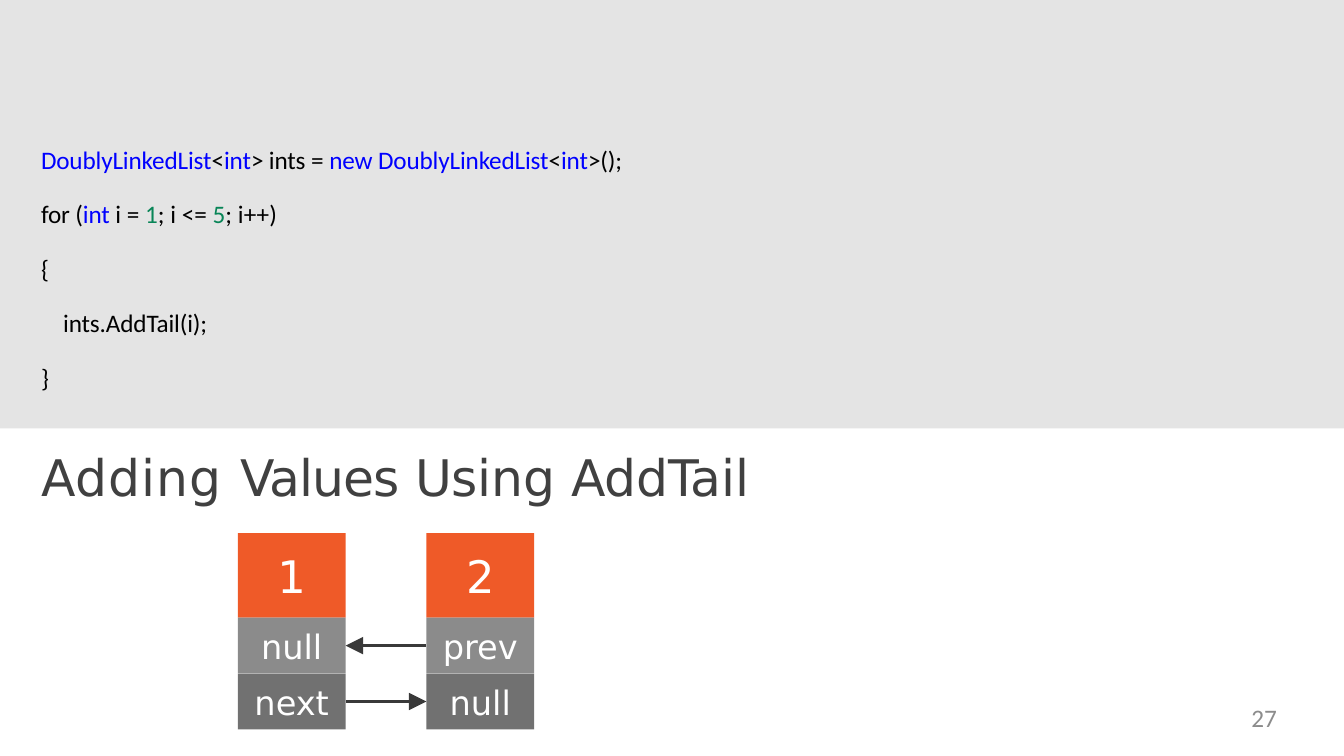
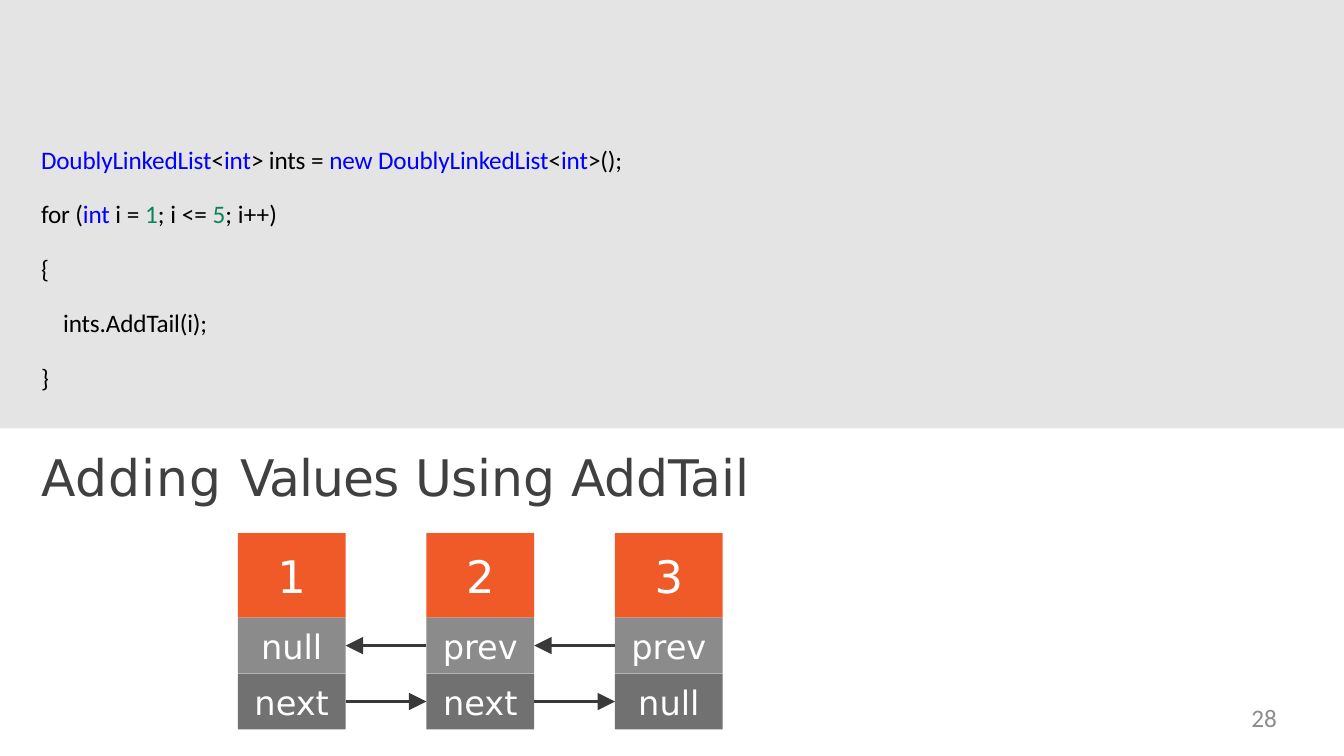
from typing import NamedTuple

from lxml import etree
from pptx import Presentation
from pptx.dml.color import RGBColor
from pptx.enum.shapes import MSO_CONNECTOR, MSO_SHAPE
from pptx.enum.text import MSO_ANCHOR, MSO_AUTO_SIZE, PP_ALIGN
from pptx.oxml.ns import qn
from pptx.util import Pt

RECT = MSO_SHAPE.RECTANGLE
LINE = MSO_CONNECTOR.STRAIGHT
TOP, MIDDLE = MSO_ANCHOR.TOP, MSO_ANCHOR.MIDDLE
LEFT, CENTER, RIGHT = PP_ALIGN.LEFT, PP_ALIGN.CENTER, PP_ALIGN.RIGHT
NO_FIT = MSO_AUTO_SIZE.NONE

BAND = RGBColor(0xE4, 0xE4, 0xE4)
BLACK = RGBColor(0x00, 0x00, 0x00)
BLUE = RGBColor(0x00, 0x00, 0xFF)
GREEN = RGBColor(0x08, 0x85, 0x57)
DARK = RGBColor(0x40, 0x40, 0x40)
WHITE = RGBColor(0xFF, 0xFF, 0xFF)
ORANGE = RGBColor(0xEF, 0x5A, 0x28)
GRAY = RGBColor(0x8B, 0x8B, 0x8B)
SLATE = RGBColor(0x71, 0x71, 0x71)
INK = RGBColor(0x39, 0x39, 0x39)
PALE = RGBColor(0x8C, 0x8C, 0x8C)

SANS, BODY = "DejaVu Sans", "Calibri"
WIDE, HIGH = 960, 540


class Box(NamedTuple):
    left: float
    top: float
    width: float
    height: float


class Span(NamedTuple):
    text: str
    color: RGBColor = BLACK
    space: float = -0.1


class Row(NamedTuple):
    top: float
    height: float
    fill: RGBColor
    size: float


class Page(NamedTuple):
    number: int
    count: int


TITLE_BOX = Box(29.3, 318.5, 512, 45)
CODE_BOX = Box(29.3, 103, 424, 181)
PAGE_BOX = Box(691.2, 501.8, 221, 27)

TITLE = [Span("Adding ", DARK, 0.8), Span("Values ", DARK, -0.7),
         Span("Using AddTail", DARK)]
CODE = [
    [Span("DoublyLinkedList", BLUE), Span("<"), Span("int", BLUE),
     Span("> ints "), Span("= ", space=0),
     Span("new DoublyLinkedList", BLUE), Span("<"), Span("int", BLUE),
     Span(">();")],
    [Span("for ("), Span("int ", BLUE), Span("i = ", space=0),
     Span("1", GREEN, 0), Span("; i <= ", space=0), Span("5", GREEN, 0),
     Span("; ", space=0), Span("i++)", space=0.1)],
    [Span("{", space=0)],
    [Span("    ints.AddTail(i);")],
    [Span("}", space=0)],
]
CODE_GAP = 17.3

# Nodes stand in equal columns of three stacked cells
NODE_LEFT, NODE_STEP, NODE_WIDTH = 169.9, 134.7, 77
VALUE = Row(380.9, 60.3, ORANGE, 32)
PREV = Row(441.2, 39.9, GRAY, 24)
NEXT = Row(481.1, 40, SLATE, 24)

PAGES = [Page(27, 2), Page(28, 3)]


def place(shape, box: Box) -> None:
    shape.left, shape.top, shape.width, shape.height = map(Pt, box)


def setup(frame, anchor=TOP, wrap: bool = True) -> None:
    frame.margin_left = frame.margin_right = 0
    frame.margin_top = frame.margin_bottom = 0
    frame.auto_size = NO_FIT
    frame.word_wrap = wrap
    frame.vertical_anchor = anchor


def style(font, name: str, size: float, color: RGBColor) -> None:
    font.name, font.size = name, Pt(size)
    font.color.rgb = color


def write(par, spans: list[Span], name: str, size: float) -> None:
    par.alignment = LEFT
    for span in spans:
        run = par.add_run()
        run.text = span.text
        style(run.font, name, size, span.color)
        run.font._element.set("spc", str(round(span.space * 100)))


def label(frame, text: str, name: str, size: float, color: RGBColor,
          align) -> None:
    frame.text = text
    par = frame.paragraphs[0]
    par.alignment = align
    style(par.runs[0].font, name, size, color)


def block(slide, box: Box, fill: RGBColor):
    shape = slide.shapes.add_shape(RECT, *map(Pt, box))
    shape.shadow.inherit = False
    shape.fill.solid()
    shape.fill.fore_color.rgb = fill
    shape.line.fill.background()
    return shape


def arrow(slide, start: float, end: float, row: Row) -> None:
    mid = Pt(row.top + row.height / 2)
    link = slide.shapes.add_connector(LINE, Pt(start), mid, Pt(end), mid)
    link.line.width = Pt(2.5)
    link.line.color.rgb = INK
    etree.SubElement(link.line._get_or_add_ln(), qn("a:tailEnd"),
                     type="triangle", w="lg", len="lg")
    etree.SubElement(link.element.spPr, qn("a:effectLst"))


def code(frame) -> None:
    setup(frame)
    for i, spans in enumerate(CODE):
        par = frame.paragraphs[0] if i == 0 else frame.add_paragraph()
        props = par._p.get_or_add_pPr()
        props.set("marL", "0")
        props.set("indent", "0")
        etree.SubElement(props, qn("a:buNone"))
        par.space_before = Pt(CODE_GAP if i else 0)
        write(par, spans, BODY, 18)


def chain(slide, count: int) -> None:
    for i in range(count):
        left = NODE_LEFT + i * NODE_STEP
        cells = [(VALUE, str(i + 1)),
                 (PREV, "prev" if i else "null"),
                 (NEXT, "next" if i < count - 1 else "null")]
        for row, text in cells:
            box = Box(left, row.top, NODE_WIDTH, row.height)
            frame = block(slide, box, row.fill).text_frame
            setup(frame, MIDDLE, False)
            label(frame, text, SANS, row.size, WHITE, CENTER)
        # Links to and from the node before
        if i:
            edge = left - NODE_STEP + NODE_WIDTH
            arrow(slide, left, edge, PREV)
            arrow(slide, edge, left, NEXT)


def build(deck, layout, page: Page) -> None:
    slide = deck.slides.add_slide(layout)
    # Title and code
    title, body = slide.shapes.title, slide.placeholders[1]
    place(title, TITLE_BOX)
    setup(title.text_frame)
    write(title.text_frame.paragraphs[0], TITLE, SANS, 36)
    place(body, CODE_BOX)
    code(body.text_frame)
    # Linked list
    chain(slide, page.count)
    # Page number
    frame = slide.shapes.add_textbox(*map(Pt, PAGE_BOX)).text_frame
    setup(frame)
    label(frame, str(page.number), BODY, 18, PALE, RIGHT)
    # The band moves to the layout, where all slides share it
    if page is PAGES[0]:
        band = block(slide, Box(0, 0, WIDE, 306), BAND)
        layout.shapes.element.insert(2, band.element)


def main() -> None:
    deck = Presentation()
    deck.slide_width, deck.slide_height = Pt(WIDE), Pt(HIGH)
    layout = deck.slide_layouts[1]
    for page in PAGES:
        build(deck, layout, page)
    deck.save("out.pptx")


if __name__ == "__main__":
    main()
